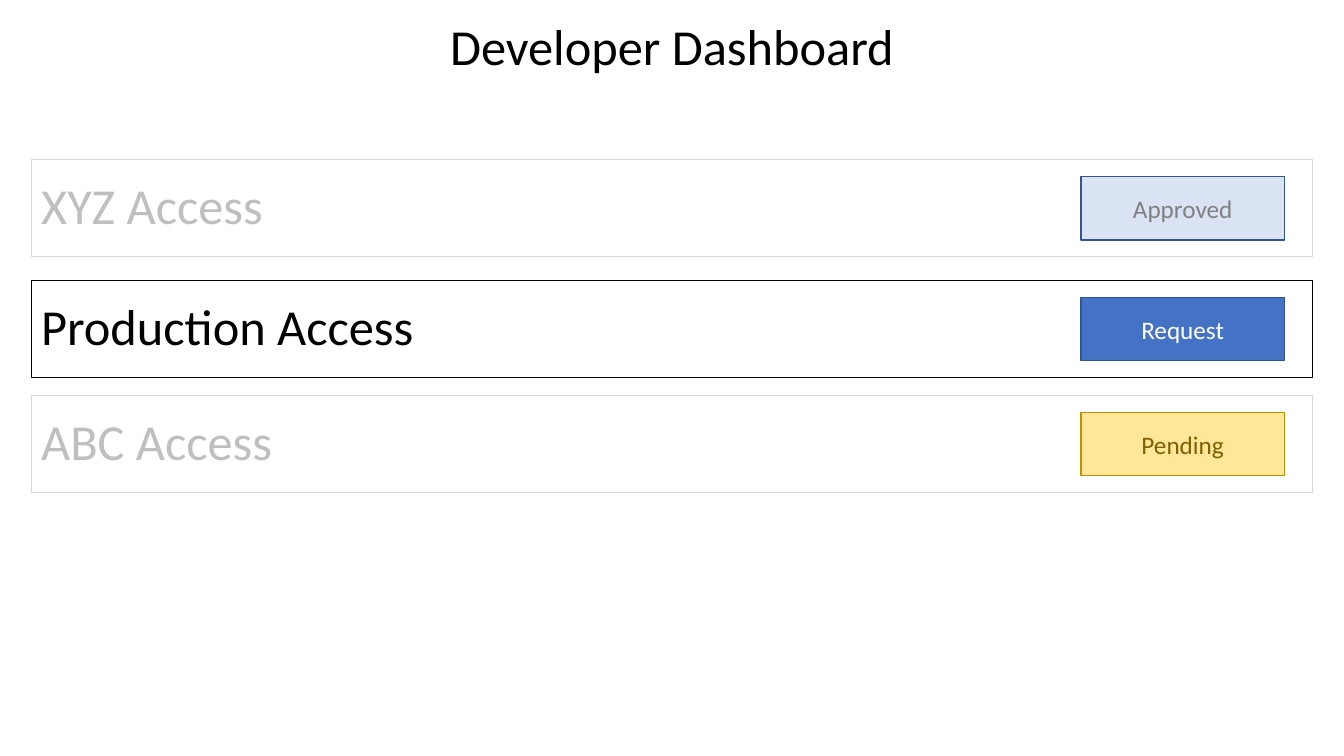
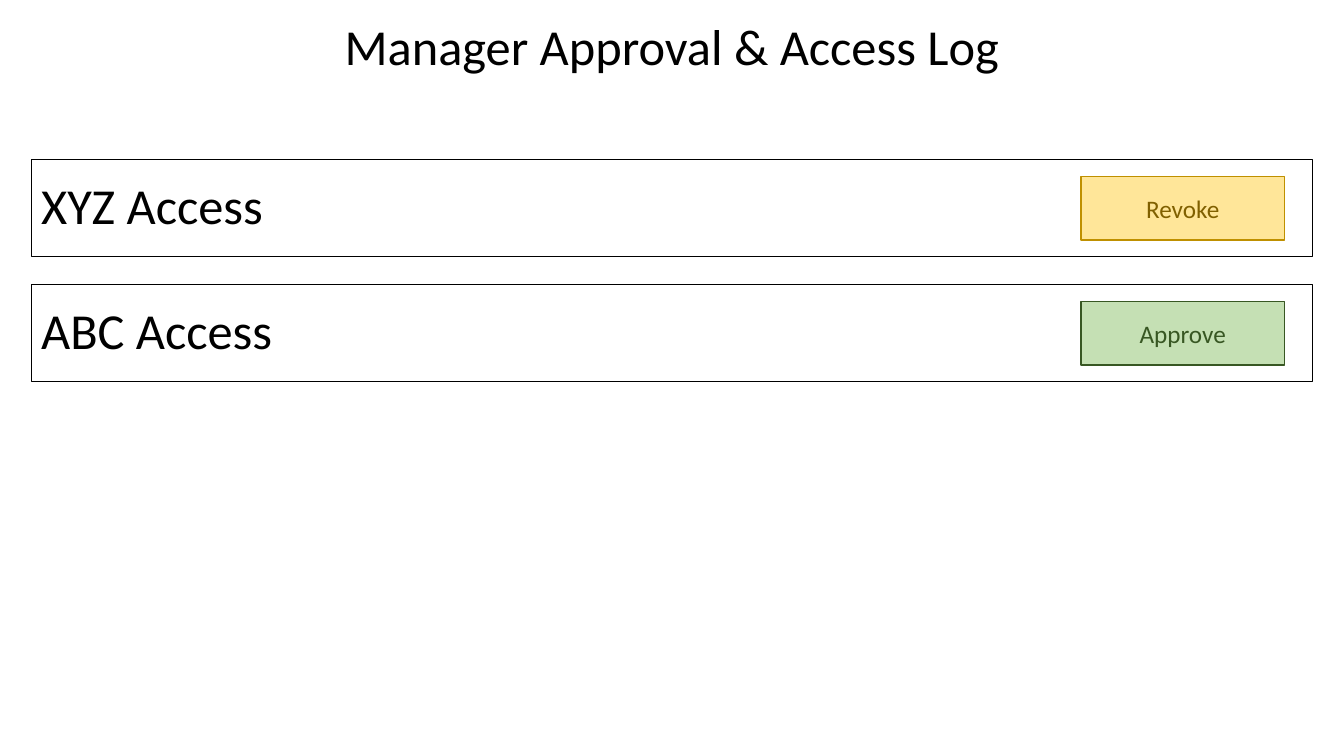
from pptx import Presentation
from pptx.dml.color import RGBColor
from pptx.enum.shapes import MSO_SHAPE as Shape
from pptx.enum.text import MSO_ANCHOR as Anchor, PP_ALIGN as Align
from pptx.util import Inches, Pt

COLORS = {
    "black": "000000", "white": "FFFFFF",
    "pale": "D9D9D9", "muted": "BFBFBF", "gray": "808080",
    "blue": "4472C4", "navy": "325491", "light_blue": "DAE3F3",
    "yellow": "FFE699", "gold": "BF9000", "brown": "806000",
    "light_green": "C5E0B4", "green": "385723",
}
ROW_STYLES = {"active": ("black", "black"), "inactive": ("pale", "muted")}
BUTTON_STYLES = {
    "primary": ("blue", "navy", "white"),
    "done": ("light_blue", "navy", "gray"),
    "warning": ("yellow", "gold", "brown"),
    "positive": ("light_green", "green", "green"),
}
SLIDES = [
    ("Developer Dashboard", [
        (1.58, "XYZ Access", "inactive", "Approved", "done"),
        (2.78, "Production Access", "active", "Request", "primary"),
        (3.92, "ABC Access", "inactive", "Pending", "warning"),
    ]),
    ("Manager Approval & Access Log", [
        (1.58, "XYZ Access", "active", "Revoke", "warning"),
        (2.82, "ABC Access", "active", "Approve", "positive"),
    ]),
]


def color(name):
    return RGBColor.from_string(COLORS[name])


def write(frame, text, *, size=36, ink="black", align=Align.LEFT, spacing=0.9):
    frame.word_wrap = True
    frame.vertical_anchor = Anchor.MIDDLE
    paragraph = frame.paragraphs[0]
    paragraph.alignment = align
    paragraph.line_spacing = spacing
    run = paragraph.add_run()
    run.text = text
    run.font.name = "Calibri"
    run.font.size = Pt(size)
    run.font.color.rgb = color(ink)


class Dashboard:
    """Hold the deck style and draw elements on the current slide."""

    width = 13.33
    row_left, row_width, row_height = 0.31, 12.71, 0.97
    button_left, button_width, button_height = 10.72, 2.02, 0.63

    def __init__(self):
        self.deck = Presentation()
        self.deck.slide_width = Inches(self.width)
        self.deck.slide_height = Inches(7.5)
        self.slide = None

    def start(self, heading):
        self.slide = self.deck.slides.add_slide(self.deck.slide_layouts[6])
        title = self.slide.shapes.add_textbox(
            0, 0, Inches(self.width), Inches(self.row_height))
        write(title.text_frame, heading, align=Align.CENTER)

    def box(self, left, top, width, height, *, outline, weight, fill=None):
        panel = self.slide.shapes.add_shape(
            Shape.RECTANGLE, Inches(left), Inches(top), Inches(width), Inches(height))
        panel.shadow.inherit = False
        panel.line.color.rgb = color(outline)
        panel.line.width = Pt(weight)
        if fill:
            panel.fill.solid()
            panel.fill.fore_color.rgb = color(fill)
        else:
            panel.fill.background()
        return panel.text_frame

    def button(self, top, action, style):
        fill, outline, ink = BUTTON_STYLES[style]
        label = self.box(self.button_left, top, self.button_width, self.button_height,
                         outline=outline, weight=1, fill=fill)
        write(label, action, size=18, ink=ink, align=Align.CENTER, spacing=1.0)

    def row(self, top, access, state, action, style):
        outline, ink = ROW_STYLES[state]
        label = self.box(self.row_left, top, self.row_width, self.row_height,
                         outline=outline, weight=0.75)
        write(label, access, ink=ink)
        self.button(top + (self.row_height - self.button_height) / 2, action, style)


def main():
    dashboard = Dashboard()
    for heading, rows in SLIDES:
        dashboard.start(heading)
        for row in rows:
            dashboard.row(*row)
    dashboard.deck.save("out.pptx")


if __name__ == "__main__":
    main()
